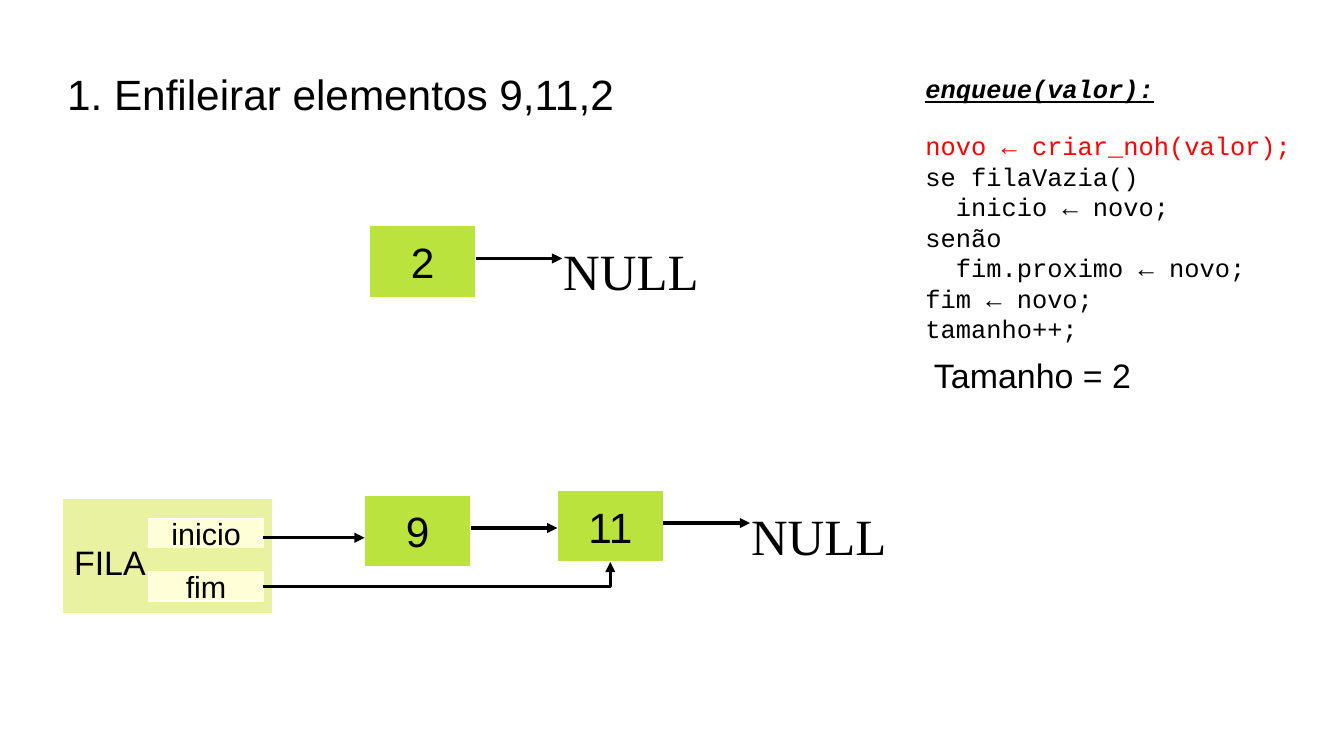
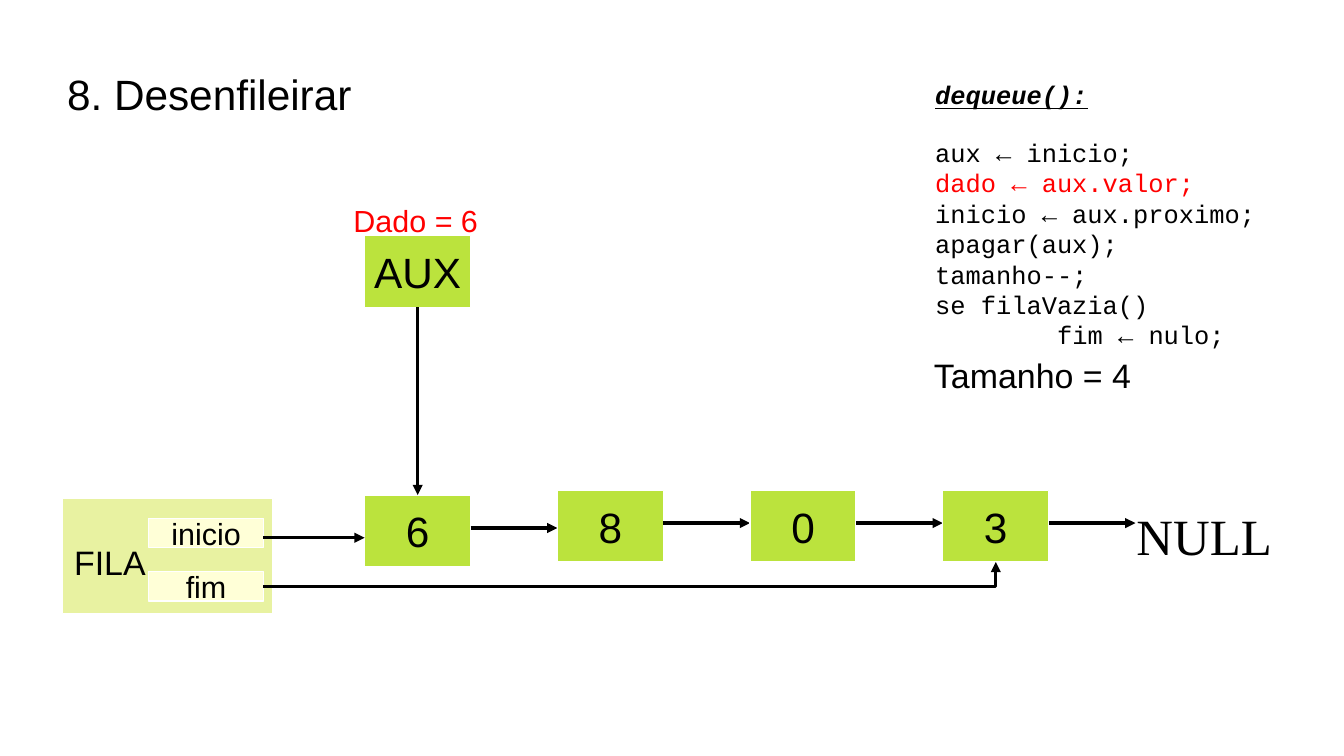
from pptx import Presentation
from pptx.dml.color import RGBColor
from pptx.enum import shapes, text
from pptx.oxml import ns, xmlchemy
from pptx.util import Inches, Pt

BLACK = RGBColor(0x00, 0x00, 0x00)
WHITE = RGBColor(0xFF, 0xFF, 0xFF)
RED = RGBColor(0xFF, 0x00, 0x00)
GREEN = RGBColor(0xBB, 0xE3, 0x3D)
PALE_GREEN = RGBColor(0xE8, 0xF2, 0xA1)
CREAM = RGBColor(0xFF, 0xFF, 0xD7)

SANS, SERIF, MONO = "Arial", "Times New Roman", "Courier New"

NODE_WIDTH, NODE_HEIGHT = 0.87, 0.59
NODE_STEP = 1.58
FIRST_LEFT, FIRST_TOP, NEXT_TOP = 2.99, 4.06, 4.02
LINK_DROP = 0.27
FIELD_LEFT, FIELD_WIDTH = 1.22, 0.94


def style_para(para, size, font=SANS, color=BLACK):
    for span in para.runs:
        span.font.size = Pt(size)
        span.font.name = font
        span.font.color.rgb = color


def add_label(page, words, left, top, width, height, size, font=SANS, color=BLACK):
    box = page.shapes.add_textbox(Inches(left), Inches(top), Inches(width), Inches(height))
    frame = box.text_frame
    frame.word_wrap = True
    frame.text = words
    style_para(frame.paragraphs[0], size, font, color)
    return frame


def add_title(page, words):
    frame = add_label(page, words, 0.55, 0.25, 9.92, 1.04, 25)
    frame.vertical_anchor = text.MSO_ANCHOR.MIDDLE
    frame.margin_left = frame.margin_right = 0
    frame.margin_top = frame.margin_bottom = 0


def add_box(page, words, left, top, width, height, fill, size=25):
    box = page.shapes.add_shape(
        shapes.MSO_SHAPE.RECTANGLE, Inches(left), Inches(top), Inches(width), Inches(height)
    )
    box.shadow.inherit = False
    box.fill.solid()
    box.fill.fore_color.rgb = fill
    box.line.color.rgb = WHITE
    box.line.width = Pt(0)
    frame = box.text_frame
    frame.word_wrap = False
    frame.vertical_anchor = text.MSO_ANCHOR.MIDDLE
    frame.text = words
    para = frame.paragraphs[0]
    para.alignment = text.PP_ALIGN.CENTER
    style_para(para, size)
    return box


def add_node(page, value, left, top):
    return add_box(page, value, left, top, NODE_WIDTH, NODE_HEIGHT, GREEN)


def add_arrow(page, start, end, kind=shapes.MSO_CONNECTOR.STRAIGHT):
    arrow = page.shapes.add_connector(kind, *(Inches(value) for value in (*start, *end)))
    arrow.line.color.rgb = BLACK
    arrow.line.width = Pt(0)
    head = xmlchemy.OxmlElement("a:tailEnd")
    head.set("type", "triangle")
    properties = arrow.line._get_or_add_ln()
    properties.append(head)
    properties.getparent().append(xmlchemy.OxmlElement("a:effectLst"))
    return arrow


def add_corner_arrow(page, field, node):
    arrow = add_arrow(page, (2.16, 4.81), (5, 4.61), shapes.MSO_CONNECTOR.ELBOW)
    arrow.begin_connect(field, 3)
    arrow.end_connect(node, 2)
    arrow._element.spPr.find(ns.qn("a:prstGeom")).set("prst", "bentConnector2")


def add_link(page, left, top):
    height = top + LINK_DROP
    add_arrow(page, (left + NODE_WIDTH, height), (left + NODE_STEP, height))


def add_null(page, left, top):
    add_label(page, "NULL", left + NODE_STEP - 0.09, top + 0.07, 1.34, 0.52, 30, SERIF)


def add_queue(page, values):
    add_box(page, "", 0.51, 4.09, 1.73, 0.94, PALE_GREEN)
    add_box(page, "inicio", FIELD_LEFT, 4.25, FIELD_WIDTH, 0.24, CREAM, 18)
    end_field = add_box(page, "fim", FIELD_LEFT, 4.69, FIELD_WIDTH, 0.24, CREAM, 18)
    add_label(page, "FILA", 0.51, 4.39, 0.8, 0.41, 20)
    nodes = []
    for index, value in enumerate(values):
        left = FIRST_LEFT + index * NODE_STEP
        top = NEXT_TOP if index else FIRST_TOP
        nodes.append(add_node(page, value, left, top))
        add_link(page, left, top)
    add_null(page, left, top)
    add_arrow(page, (FIELD_LEFT + FIELD_WIDTH, 4.41), (FIRST_LEFT, 4.41))
    add_corner_arrow(page, end_field, nodes[-1])
    return nodes


def add_code(page, left, top, heading, lines, active):
    frame = add_label(page, heading, left, top, 3.4, 2.32, 15, MONO)
    frame.paragraphs[0].space_after = Pt(16)
    font = frame.paragraphs[0].runs[0].font
    font.bold = font.italic = font.underline = True
    for index, (indent, words) in enumerate(lines):
        para = frame.add_paragraph()
        para.text = words
        para._p.get_or_add_pPr().set("marL", str(Inches(indent)))
        style_para(para, 15, MONO, RED if index == active else BLACK)


def add_page(deck, title, size, values):
    page = deck.slides.add_slide(deck.slide_layouts[6])
    add_title(page, title)
    add_label(page, f"Tamanho = {size}", 7.56, 2.86, 1.89, 0.41, 20)
    return page, add_queue(page, values)


def build_enqueue(deck):
    page, _ = add_page(deck, "1. Enfileirar elementos 9,11,2", 2, ["9", "11"])
    add_code(page, 7.49, 0.55, "enqueue(valor):", [
        (0, "novo ← criar_noh(valor);"),
        (0, "se filaVazia()"),
        (0.25, "inicio ← novo;"),
        (0, "senão"),
        (0.25, "fim.proximo ← novo;"),
        (0, "fim ← novo;"),
        (0, "tamanho++;"),
    ], active=0)
    left, top = 3.03, 1.85
    add_node(page, "2", left, top)
    add_link(page, left, top)
    add_null(page, left, top)


def build_dequeue(deck):
    page, nodes = add_page(deck, "8. Desenfileirar", 4, ["6", "8", "0", "3"])
    add_code(page, 7.57, 0.6, "dequeue():", [
        (0, "aux ← inicio;"),
        (0, "dado ← aux.valor;"),
        (0, "inicio ← aux.proximo;"),
        (0, "apagar(aux);"),
        (0, "tamanho--;"),
        (0, "se filaVazia()"),
        (1, "fim ← nulo;"),
    ], active=1)
    aux = add_node(page, "AUX", FIRST_LEFT, 1.93)
    pointer = add_arrow(page, (3.43, 2.52), (3.43, FIRST_TOP))
    pointer.begin_connect(aux, 2)
    pointer.end_connect(nodes[0], 0)
    add_label(page, "Dado = 6", 2.8, 1.61, 1.42, 0.66, 18, color=RED)


def main():
    deck = Presentation()
    deck.slide_width, deck.slide_height = Inches(11.02), Inches(6.2)
    build_enqueue(deck)
    build_dequeue(deck)
    deck.save("out.pptx")


if __name__ == "__main__":
    main()
